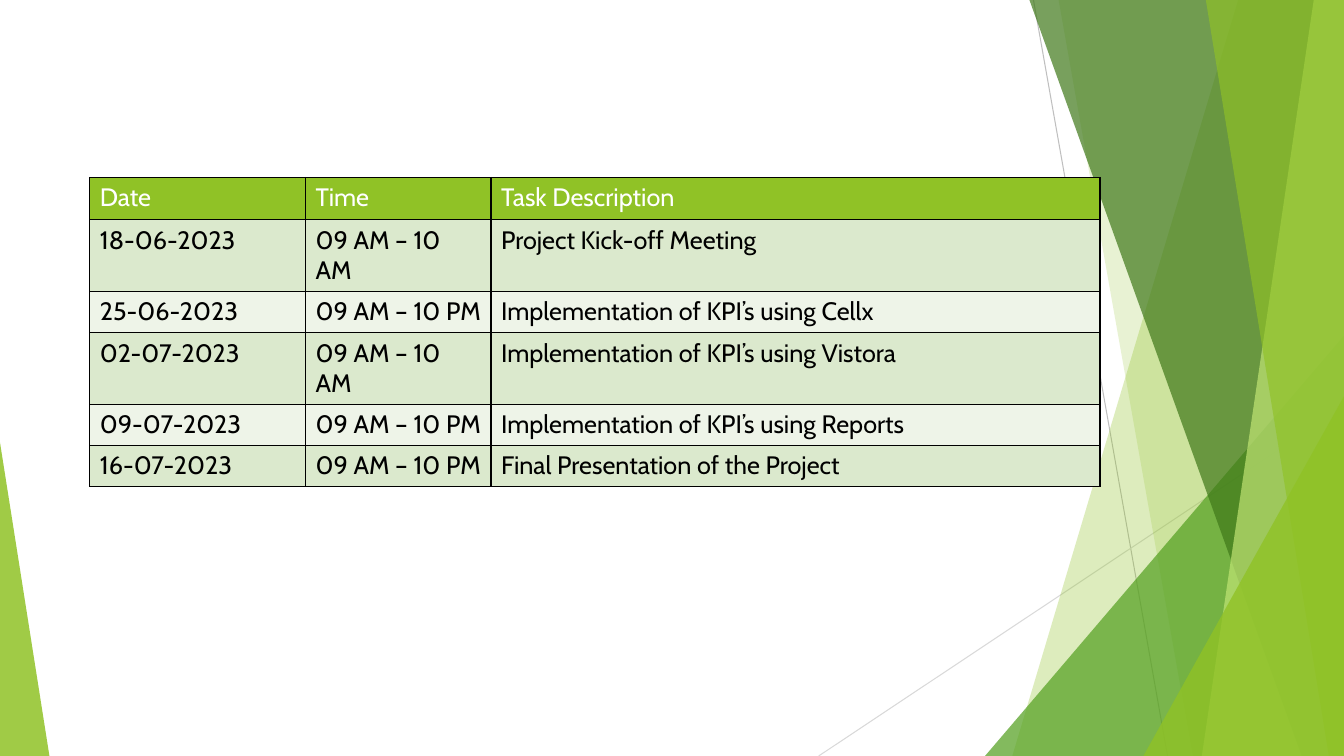
import pptx
import pptx.dml.color
import pptx.enum.shapes
import pptx.oxml
import pptx.oxml.ns
import pptx.util
from pptx.util import Inches

WIDTH, HEIGHT = 13.33, 7.5
FONT = "Cabin"
LIME = "90C226"
BANDS = ("DBE9CD", "EEF4E8")

# Background lines: x1, y1, x2, y2, colour
LINES = [
    (10.25, 0, 11.58, HEIGHT, "BFBFBF"),
    (WIDTH, 4.03, 8.12, HEIGHT, "D9D9D9"),
]

# Panels reaching the right edge: top x, bottom x, colour, opacity
BACK_PANELS = [(12.28, 10.04, LIME, 30), (10.5, 11.83, LIME, 20)]
FRONT_PANELS = [
    (10.21, 12.91, "3F7819", 70),
    (13.03, 11.92, "C0E474", 70),
    (11.96, 13.18, LIME, 65),
]

COLUMN_WIDTHS = (2.14, 1.84, 6.04)
ROW_HEIGHTS = (0.42, 0.71, 0.41, 0.71, 0.41, 0.4)
SCHEDULE = [
    ("Date", "Time", "Task Description"),
    ("18-06-2023", "09 AM – 10 AM", "Project Kick-off Meeting"),
    ("25-06-2023", "09 AM – 10 PM", "Implementation of KPI’s using Cellx"),
    ("02-07-2023", "09 AM – 10 AM", "Implementation of KPI’s using Vistora"),
    ("09-07-2023", "09 AM – 10 PM", "Implementation of KPI’s using Reports"),
    ("16-07-2023", "09 AM – 10 PM", "Final Presentation of the Project"),
]


def rgb(color):
    return pptx.dml.color.RGBColor.from_string(color)


def add_xml(parent, xml):
    """Append an element of the drawing namespace and return it."""
    tag, rest = xml.split(" ", 1)
    ns = pptx.oxml.ns.nsdecls("a")
    element = pptx.oxml.parse_xml(f"<a:{tag} {ns} {rest}")
    parent.append(element)
    return element


def paint(sp, color, opacity):
    sp.shadow.inherit = False
    sp.line.fill.background()
    sp.fill.solid()
    sp.fill.fore_color.rgb = rgb(color)
    clr = sp.fill._xPr.find(".//" + pptx.oxml.ns.qn("a:srgbClr"))
    add_xml(clr, f'alpha val="{opacity * 1000}"/>')


def add_line(s, x1, y1, x2, y2, color):
    line = s.shapes.add_connector(
        pptx.enum.shapes.MSO_CONNECTOR.STRAIGHT,
        Inches(x1), Inches(y1), Inches(x2), Inches(y2))
    line.line.color.rgb = rgb(color)
    line.line.width = pptx.util.Pt(0.75)
    add_xml(line._element.spPr, "effectLst />")


def add_panel(s, top_x, bottom_x, color, opacity):
    builder = s.shapes.build_freeform(Inches(top_x), 0)
    corners = [(WIDTH, 0), (WIDTH, HEIGHT), (bottom_x, HEIGHT)]
    builder.add_line_segments([(Inches(x), Inches(y)) for x, y in corners], close=True)
    paint(builder.convert_to_shape(), color, opacity)


def add_triangle(s, left, top, width, apex, color, opacity):
    """Add a triangle standing on the bottom edge of the slide."""
    sp = s.shapes.add_shape(
        pptx.enum.shapes.MSO_SHAPE.ISOSCELES_TRIANGLE,
        Inches(left), Inches(top), Inches(width), Inches(HEIGHT - top))
    sp.adjustments[0] = apex
    paint(sp, color, opacity)


def write(tf, text, size=18, color="000000", font=FONT):
    r = tf.paragraphs[0].add_run()
    r.text = text
    r.font.size = pptx.util.Pt(size)
    r.font.name = font
    r.font.bold = False
    r.font.color.rgb = rgb(color)


def style_cell(cell, fill):
    # Borders come before the fill in the cell properties
    tc_pr = cell._tc.get_or_add_tcPr()
    for side in ("lnL", "lnR", "lnT", "lnB"):
        border = add_xml(tc_pr, f'{side} w="12700"/>')
        solid = add_xml(border, "solidFill />")
        add_xml(solid, 'srgbClr val="000000"/>')
    cell.fill.solid()
    cell.fill.fore_color.rgb = rgb(fill)


def add_schedule(s, left, top):
    table = s.shapes.add_table(
        len(SCHEDULE), len(COLUMN_WIDTHS), Inches(left), Inches(top),
        Inches(sum(COLUMN_WIDTHS)), Inches(sum(ROW_HEIGHTS))).table
    for column, width in zip(table.columns, COLUMN_WIDTHS):
        column.width = Inches(width)
    for i, (row, height) in enumerate(zip(table.rows, ROW_HEIGHTS)):
        row.height = Inches(height)
        header = i == 0
        for cell, text in zip(row.cells, SCHEDULE[i]):
            style_cell(cell, LIME if header else BANDS[(i - 1) % 2])
            write(cell.text_frame, text, color="FFFFFF" if header else "000000")


def main():
    prs = pptx.Presentation()
    prs.slide_width, prs.slide_height = Inches(WIDTH), Inches(HEIGHT)
    s = prs.slides.add_slide(prs.slide_layouts[6])

    # Background decoration, back to front
    for line in LINES:
        add_line(s, *line)
    for panel in BACK_PANELS:
        add_panel(s, *panel)
    add_triangle(s, 9.77, 3.33, 3.56, 1, "54A021", 72)
    for panel in FRONT_PANELS:
        add_panel(s, *panel)
    add_triangle(s, 11.34, 3.93, 1.99, 1, LIME, 80)
    add_triangle(s, 0, 4.39, 0.49, 0, LIME, 85)

    # Project schedule
    add_schedule(s, 0.89, 1.76)

    prs.save("out.pptx")


if __name__ == "__main__":
    main()
